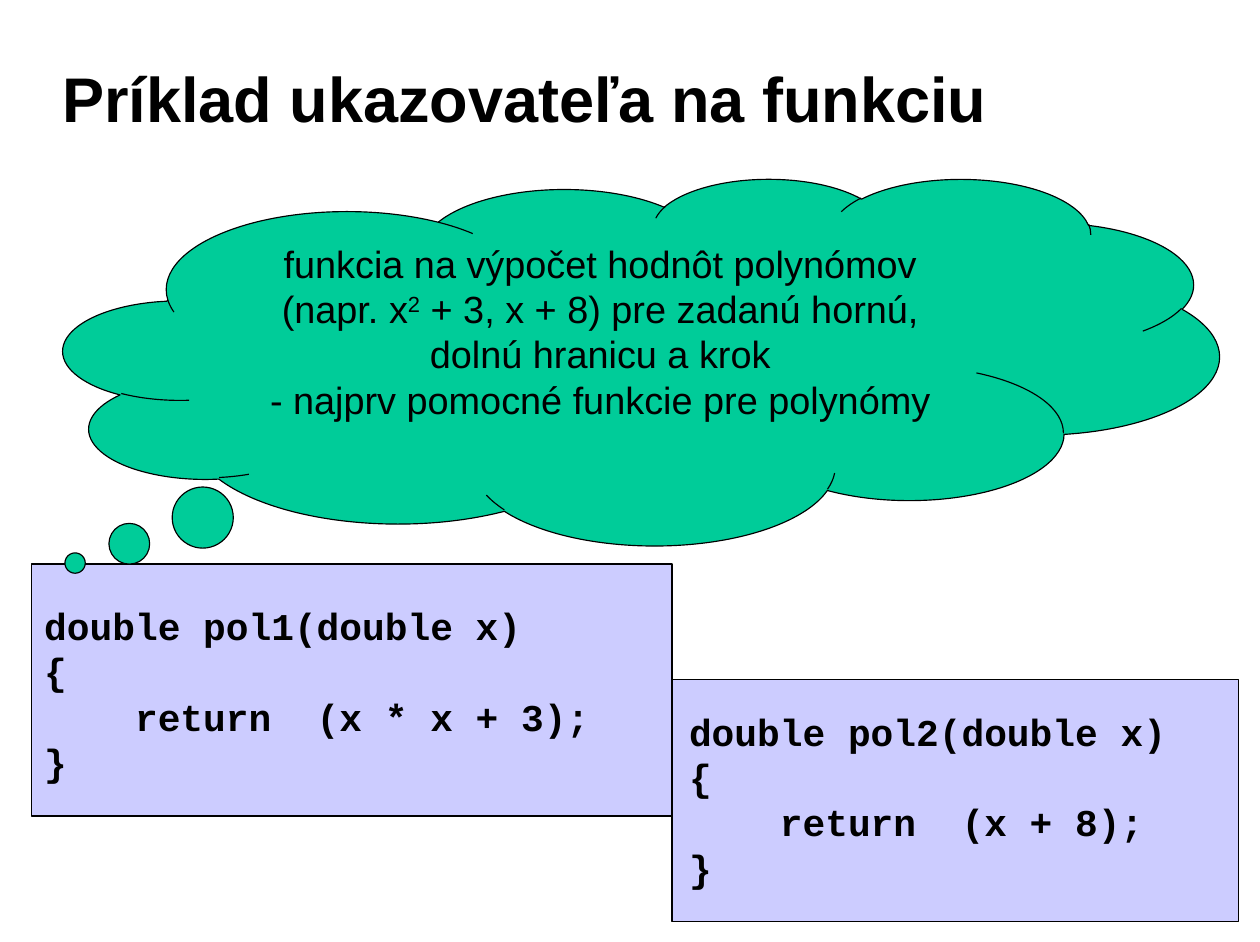
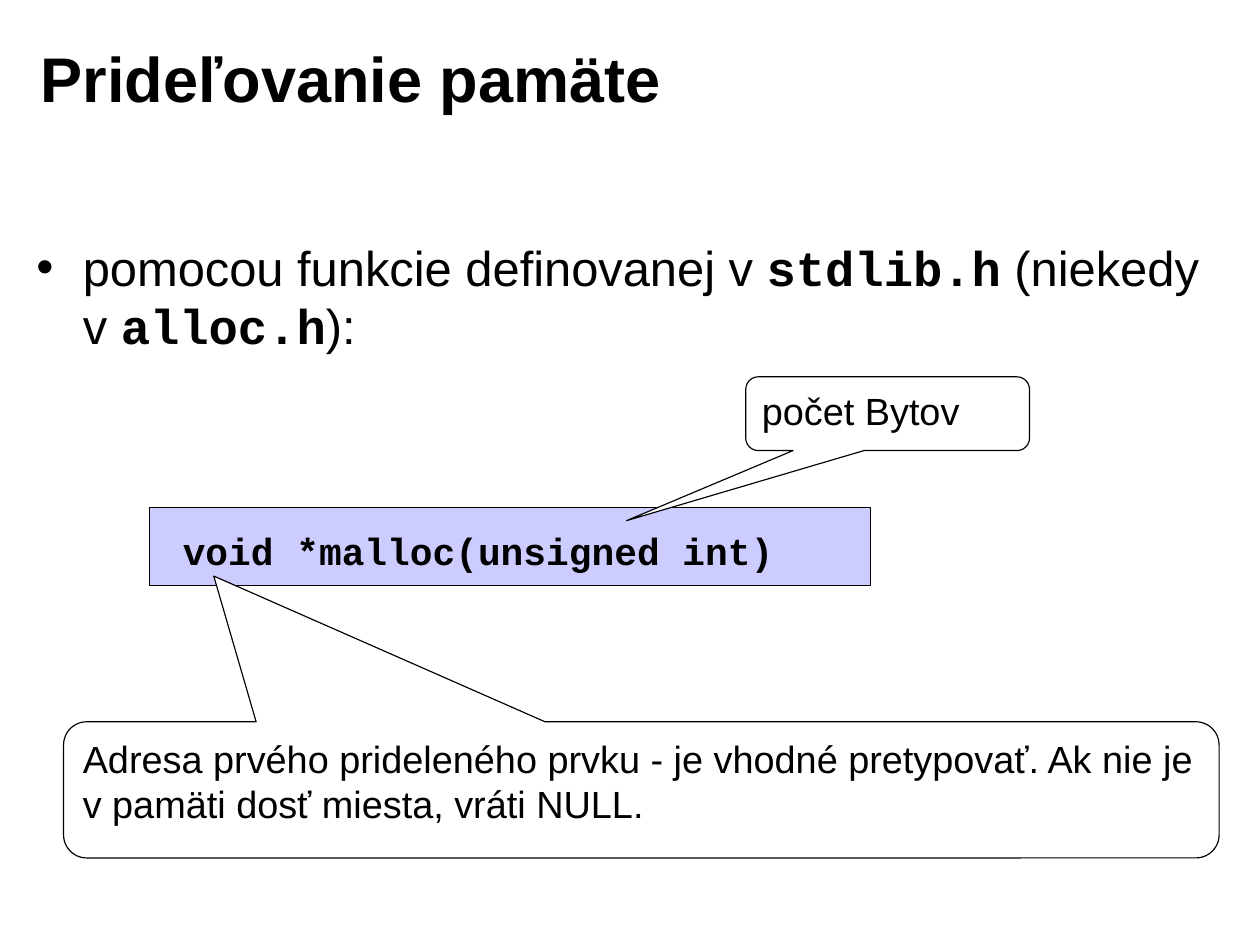
"""Build two slides on function pointers and memory allocation in C."""
from pptx import Presentation
from pptx.dml.color import RGBColor
from pptx.enum.shapes import MSO_SHAPE as Shape
from pptx.enum.text import MSO_ANCHOR as Anchor, MSO_AUTO_SIZE as AutoSize, PP_ALIGN as Align
from pptx.util import Inches, Pt

COLORS = {"ink": "000000", "code": "CCCCFF", "cloud": "00CC99", "paper": "FFFFFF"}
SANS, MONO = "Arial", "Courier New"
INSET = (0.11, 0.06)
TITLE_ONLY, TITLE_AND_BODY = 5, 1

POINTER_SLIDE = {
    "layout": TITLE_ONLY,
    "title": ("Príklad ukazovateľa na funkciu", (0.44, 0.35, 8.91, 1.02)),
    "codes": [
        ((0.28, 4.97, 5.64, 2.22), (0.11, 0.34),
         ["double pol1(double x)", "{", "    return  (x * x + 3);", "}"]),
        ((5.92, 5.99, 4.99, 2.13), (0.15, 0.25),
         ["double pol2(double x)", "{", "    return  (x + 8);", "}"]),
    ],
    "callouts": [
        (Shape.CLOUD_CALLOUT, (0.56, 1.57, 10.18, 3.23), (-0.49, 0.55), "cloud", Align.CENTER,
         [[("funkcia na výpočet hodnôt polynómov (napr. x", ""), ("2", "super"),
           (" + 3, x + 8) pre zadanú hornú, dolnú hranicu a krok", "")],
          [("- najprv pomocné funkcie pre polynómy", "")]]),
    ],
}
MEMORY_SLIDE = {
    "layout": TITLE_AND_BODY,
    "title": ("Prideľovanie pamäte", (0.25, 0.17, 8.91, 1.02)),
    "body": ((0.21, 2.03, 10.66, 1.67),
             [("pomocou funkcie definovanej v ", ""), ("stdlib.h", "code"),
              (" (niekedy v ", ""), ("alloc.h", "code"), ("):", "")]),
    "codes": [((1.32, 4.47, 6.35, 0.69), (0.29, 0.18), ["void *malloc(unsigned int)"])],
    "callouts": [
        (Shape.ROUNDED_RECTANGULAR_CALLOUT, (6.57, 3.32, 2.5, 0.65), (-0.92, 1.45, 0.17),
         "paper", Align.LEFT, [[("počet Bytov", "")]]),
        (Shape.ROUNDED_RECTANGULAR_CALLOUT, (0.56, 6.36, 10.18, 1.2), (-0.37, -1.57, 0.17),
         "paper", Align.LEFT,
         [[("Adresa prvého prideleného prvku - je vhodné pretypovať. "
            "Ak nie je v pamäti dosť miesta, vráti NULL.", "")]]),
    ],
}


def color(name):
    return RGBColor.from_string(COLORS[name])


def set_frame(frame, anchor, inset=INSET):
    frame.word_wrap = True
    frame.auto_size = AutoSize.NONE
    frame.vertical_anchor = anchor
    frame.margin_left, frame.margin_top = map(Inches, inset)
    frame.margin_right, frame.margin_bottom = map(Inches, INSET)


def set_font(font, size, face=SANS, bold=False):
    font.size, font.name, font.bold = Pt(size), face, bold
    font.color.rgb = color("ink")


def write(frame, paragraphs, size, face=SANS, bold=False, align=Align.LEFT):
    for index, pieces in enumerate(paragraphs):
        paragraph = frame.add_paragraph() if index else frame.paragraphs[0]
        paragraph.alignment = align
        paragraph.space_before = Pt(0)
        set_font(paragraph.font, size, face, bold)
        for text, style in pieces:
            run = paragraph.add_run()
            run.text = text
            if style == "code":
                run.font.name, run.font.bold = MONO, True
            elif style == "super":
                run._r.get_or_add_rPr().set("baseline", "30000")


def place(holder, box):
    holder.left, holder.top, holder.width, holder.height = map(Inches, box)


def add_box(slide, kind, box, fill, inset=INSET):
    shape = slide.shapes.add_shape(kind, *map(Inches, box))
    shape.shadow.inherit = False
    shape.fill.solid()
    shape.fill.fore_color.rgb = color(fill)
    shape.line.color.rgb = color("ink")
    shape.line.width = Pt(0.75)
    set_frame(shape.text_frame, Anchor.TOP, inset)
    return shape


def add_body(holder, box, pieces):
    place(holder, box)
    set_frame(holder.text_frame, Anchor.TOP)
    properties = holder.text_frame.paragraphs[0]._p.get_or_add_pPr()
    properties.set("marL", str(Inches(0.41)))
    properties.set("indent", str(-Inches(0.41)))
    write(holder.text_frame, [pieces], 31)


def build_slide(deck, content):
    slide = deck.slides.add_slide(deck.slide_layouts[content["layout"]])
    heading, box = content["title"]
    title = slide.shapes.title
    place(title, box)
    set_frame(title.text_frame, Anchor.MIDDLE)
    write(title.text_frame, [[(heading, "")]], 40, bold=True)
    if "body" in content:
        add_body(slide.placeholders[1], *content["body"])
    for box, inset, lines in content["codes"]:
        code = add_box(slide, Shape.RECTANGLE, box, "code", inset)
        write(code.text_frame, [[(line, "")] for line in lines], 24, MONO, True)
    for kind, box, pointer, fill, align, paragraphs in content["callouts"]:
        callout = add_box(slide, kind, box, fill)
        for index, value in enumerate(pointer):
            callout.adjustments[index] = value
        write(callout.text_frame, paragraphs, 24, align=align)


def main():
    deck = Presentation()
    deck.slide_width, deck.slide_height = Inches(11.1), Inches(8.3)
    for content in (POINTER_SLIDE, MEMORY_SLIDE):
        build_slide(deck, content)
    deck.save("out.pptx")


if __name__ == "__main__":
    main()
